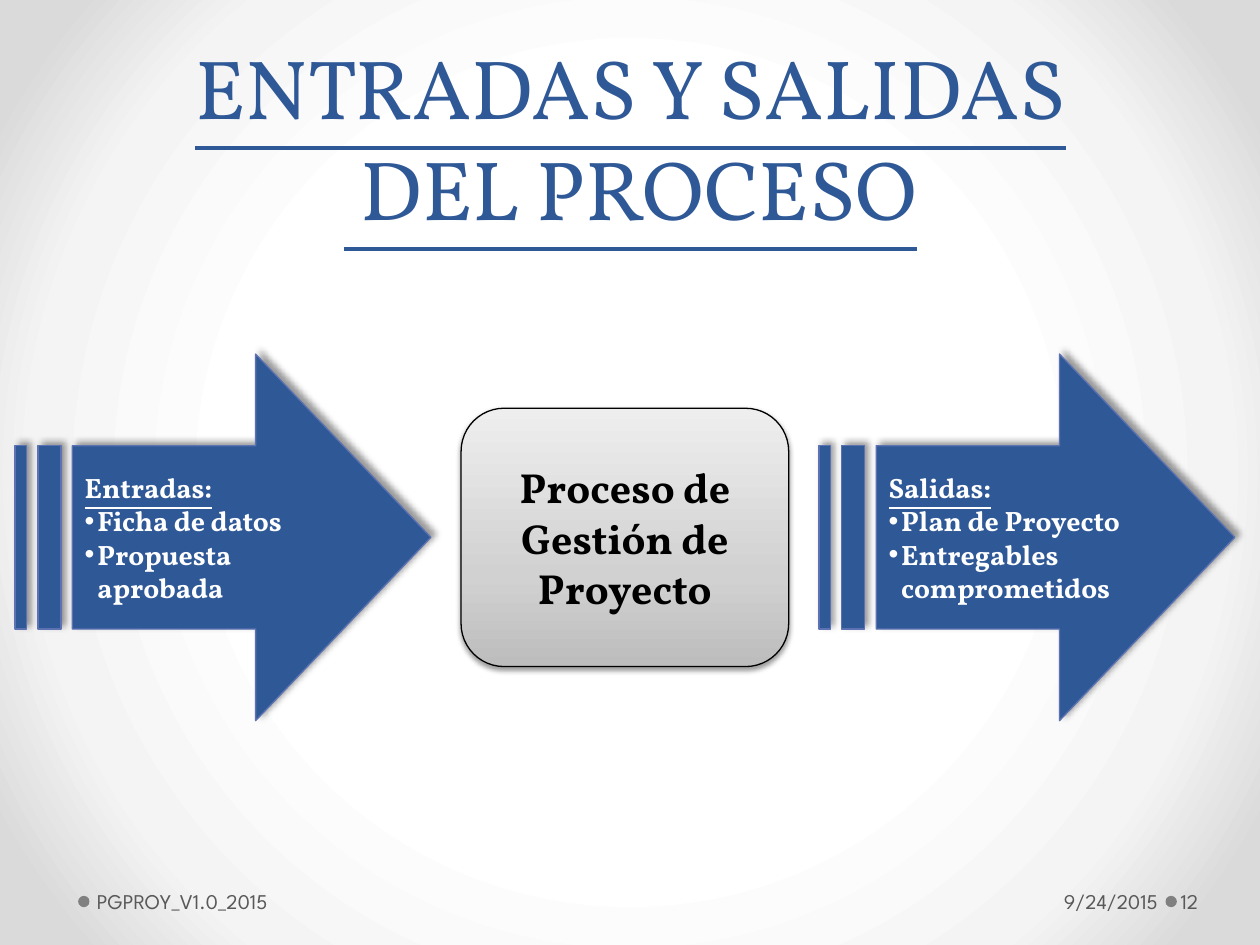
from lxml import etree
from pptx import Presentation
from pptx.dml.color import RGBColor
from pptx.enum.shapes import MSO_SHAPE
from pptx.enum.text import MSO_ANCHOR, PP_ALIGN
from pptx.oxml.ns import qn
from pptx.util import Inches, Pt

ARROW, ROUND, DOT = (MSO_SHAPE.STRIPED_RIGHT_ARROW,
                     MSO_SHAPE.ROUNDED_RECTANGLE, MSO_SHAPE.OVAL)
LEFT, MID, RIGHT = PP_ALIGN.LEFT, PP_ALIGN.CENTER, PP_ALIGN.RIGHT
SERIF, SANS = "Vollkorn", "League Spartan"
BLUE, EDGE, GRAY, INK = "2F5897", "5C72B2", "808080", "595959"

TITLE = ("ENTRADAS Y SALIDAS", " DEL PROCESO")
CENTER = "Proceso de Gestión de Proyecto"
FLOWS = [
    (0.12, "Entradas:", ["Ficha de datos", "Propuesta aprobada"]),
    (6.5, "Salidas:", ["Plan de Proyecto", "Entregables comprometidos"]),
]
# text, left, width, alignment, left and right inset
FOOTER = [
    ("PGPROY_V1.0_2015", 0.72, 3.96, LEFT, 0.05, 0.1),
    ("9/24/2015", 6.96, 2.28, RIGHT, 0.1, 0.05),
    ("12", 9.34, 0.61, LEFT, 0.03, 0.05),
]
DOTS = (0.62, 9.25)
GLOW = [(50, "FFFFFF"), (76, "F4F4F4"), (92, "DADADA")]
METAL = [(0, "BDBDBD"), (35, "D1D1D1"), (100, "EEEEEE")]


def rgb(code):
    """Turn a hex string into a colour."""
    return RGBColor.from_string(code)


def node(up, tag, **attrs):
    """Add a drawing element with attributes."""
    kid = etree.SubElement(up, qn("a:" + tag))
    for key, val in attrs.items():
        kid.set(key, str(val))
    return kid


def blend(props, stops, angle=None):
    """Swap a solid fill for a linear or, without angle, radial gradient."""
    old = props.find(qn("a:solidFill"))
    grad = etree.Element(qn("a:gradFill"), rotWithShape="1")
    items = node(grad, "gsLst")
    for pos, code in stops:
        node(node(items, "gs", pos=pos * 1000), "srgbClr", val=code)
    if angle is None:
        way = node(grad, "path", path="circle")
        node(way, "fillToRect", l=50000, t=50000, r=50000, b=50000)
    else:
        node(grad, "lin", ang=angle * 60000, scaled=0)
    props.replace(old, grad)


def shade(shape, alpha, blur, dist, angle):
    """Give a shape a black outer shadow."""
    effects = shape.element.spPr.find(qn("a:effectLst"))
    outer = node(effects, "outerShdw", blurRad=Pt(blur), dist=Pt(dist),
                 dir=angle * 60000, rotWithShape=0)
    node(node(outer, "srgbClr", val="000000"), "alpha", val=alpha * 1000)


def write(para, text, size, font, color, bold=False, line=False):
    """Add one formatted run."""
    run = para.add_run()
    run.text = text
    face = run.font
    face.size, face.name, face.bold = Pt(size), font, bold
    face.underline = line
    face.color.rgb = rgb(color)


def draw(kind, box, fill, line=None):
    """Add a plain preset shape."""
    shape = slide.shapes.add_shape(kind, *map(Inches, box))
    shape.shadow.inherit = False
    shape.fill.solid()
    shape.fill.fore_color.rgb = rgb(fill)
    if line:
        shape.line.color.rgb = rgb(line)
        shape.line.width = Pt(0.75)
    else:
        shape.line.fill.background()
    shape.text_frame.vertical_anchor = MSO_ANCHOR.MIDDLE
    return shape


def flow(left, head, items):
    """Draw an arrow with a heading and a bulleted list."""
    shape = draw(ARROW, (left, 2.81, 3.3, 2.91), BLUE, EDGE)
    shape.adjustments[0], shape.adjustments[1] = 0.5, 0.478
    shade(shape, 40, 4, 3, 315)
    frame = shape.text_frame
    para = frame.paragraphs[0]
    para.alignment = LEFT
    write(para, head, 16, SERIF, "FFFFFF", True, True)
    for item in items:
        para = frame.add_paragraph()
        para.alignment = LEFT
        props = para._p.get_or_add_pPr()
        props.set("marL", str(Inches(0.1)))
        props.set("indent", str(-Inches(0.1)))
        node(props, "buFont", typeface="Arial")
        node(props, "buChar", char="•")
        write(para, item, 16, SERIF, "FFFFFF", True)


def foot(text, left, width, align, start, end):
    """Add one footer text."""
    box = slide.shapes.add_textbox(*map(Inches, (left, 6.95, width, 0.4)))
    frame = box.text_frame
    frame.word_wrap = True
    frame.vertical_anchor = MSO_ANCHOR.MIDDLE
    frame.margin_left, frame.margin_right = Inches(start), Inches(end)
    para = frame.paragraphs[0]
    para.alignment = align
    write(para, text, 12, SANS, INK)


deck = Presentation()
deck.slide_width, deck.slide_height = Inches(10), Inches(7.5)
slide = deck.slides.add_slide(deck.slide_layouts[0])
slide.background.fill.solid()
blend(slide.element.find(".//" + qn("p:bgPr")), GLOW)

sub = slide.placeholders[1].element
sub.getparent().remove(sub)
title = slide.shapes.title
title.left, title.top = Inches(0.28), Inches(0.19)
title.width, title.height = Inches(9.45), Inches(1.74)
title.text_frame.vertical_anchor = MSO_ANCHOR.BOTTOM
para = title.text_frame.paragraphs[0]
para.alignment = MID
for row, text in enumerate(TITLE):
    if row:
        para.add_line_break()
    write(para, text, 48, SERIF, BLUE, line=True)

for left in DOTS:
    draw(DOT, (left, 7.11, 0.09, 0.09), GRAY)
for part in FLOWS:
    flow(*part)

core = draw(ROUND, (3.66, 3.24, 2.6, 2.05), "D1D1D1", "000000")
blend(core.element.spPr, METAL, 270)
shade(core, 38, 3.1, 1.6, 90)
para = core.text_frame.paragraphs[0]
para.alignment = MID
write(para, CENTER, 24, SERIF, "000000", True)

for part in FOOTER:
    foot(*part)

deck.save("out.pptx")
